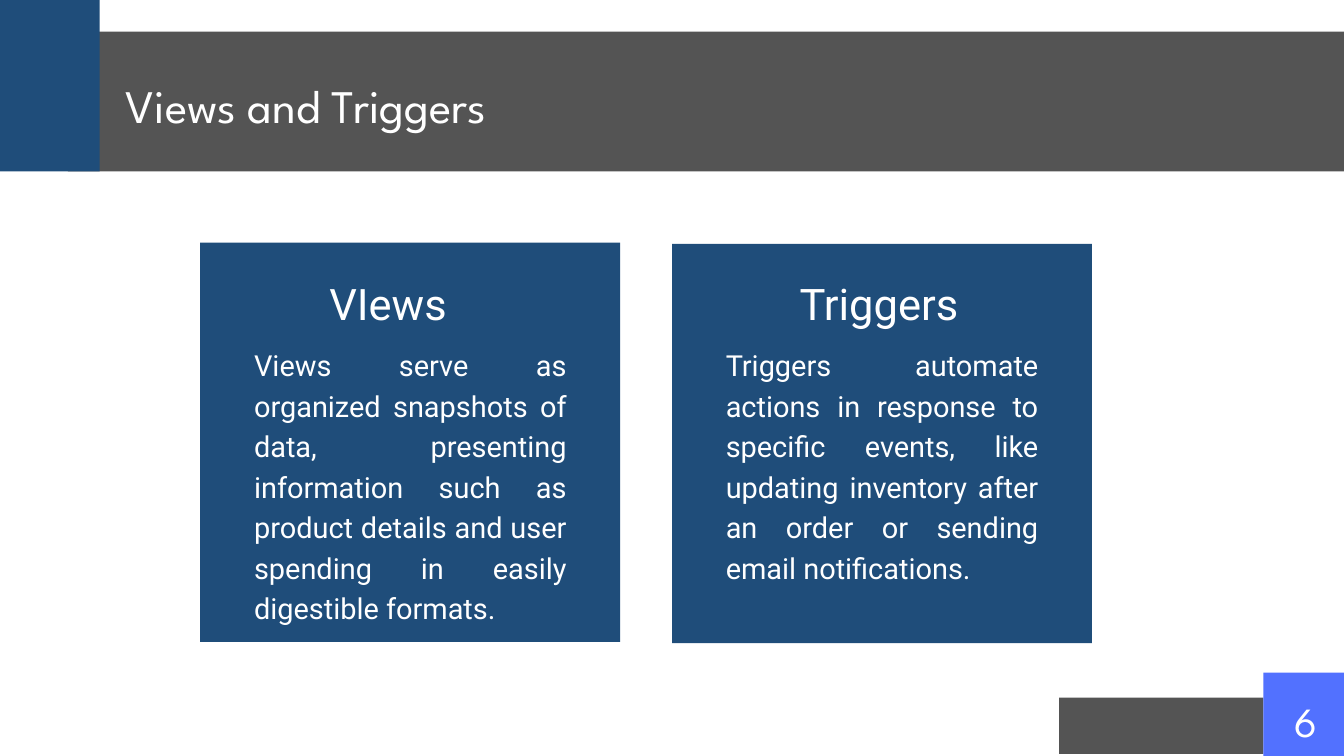
from pptx import Presentation
from pptx.dml.color import RGBColor
from pptx.enum import shapes, text
from pptx.util import Pt

COLORS = {"navy": "1F4D7A", "gray": "545454", "blue": "5271FF", "white": "FFFFFF"}
HEADING_FONT = "League Spartan"
BODY_FONT = "Roboto"
ALIGN = text.PP_ALIGN

# Card left and top, heading left, width and size, heading, body left, body
CARDS = [
    (214.5, 260, 240.5, 362, 46.5, "VIews ", 272.2,
     "Views serve as organized snapshots of data, presenting information such as "
     "product details and user spending in easily digestible formats. "),
    (720, 261.4, 777.6, 328.3, 46.6, "Triggers", 777.6,
     "Triggers automate actions in response to specific events, like updating "
     "inventory after an order or sending email notifications."),
]


def add_block(slide, left, top, width, height, color):
    """Add a plain filled rectangle without outline."""
    shape = slide.shapes.add_shape(
        shapes.MSO_SHAPE.RECTANGLE, Pt(left), Pt(top), Pt(width), Pt(height))
    shape.shadow.inherit = False
    shape.fill.solid()
    shape.fill.fore_color.rgb = RGBColor.from_string(COLORS[color])
    shape.line.fill.background()


def add_label(slide, left, top, width, height, words, font, size, spacing, align):
    """Add white wrapped text with exact line spacing and no insets."""
    box = slide.shapes.add_textbox(Pt(left), Pt(top), Pt(width), Pt(height))
    frame = box.text_frame
    frame.word_wrap = True
    frame.auto_size = text.MSO_AUTO_SIZE.SHAPE_TO_FIT_TEXT
    frame.margin_left = frame.margin_right = 0
    frame.margin_top = frame.margin_bottom = 0
    paragraph = frame.paragraphs[0]
    paragraph.text = words
    paragraph.alignment = align
    paragraph.line_spacing = Pt(spacing)
    paragraph.font.name = font
    paragraph.font.size = Pt(size)
    paragraph.font.color.rgb = RGBColor.from_string(COLORS["white"])


def add_header(slide):
    add_block(slide, 72.7, 34, 1367.3, 149.6, "gray")
    add_block(slide, -53.3, -59.8, 160, 243.4, "navy")
    add_label(slide, 134.6, 72.7, 669.6, 67.7, "Views and Triggers",
              HEADING_FONT, 50, 70, ALIGN.LEFT)


def add_card(slide, left, top, heading_left, heading_width, heading_size,
             heading, body_left, body):
    add_block(slide, left, top, 450, 427.7, "navy")
    add_label(slide, heading_left, 287.6, heading_width, 62.6, heading,
              BODY_FONT, heading_size, 65.2, ALIGN.CENTER)
    add_label(slide, body_left, 366.5, 334.8, 255.6, body,
              BODY_FONT, 31, 43.4, ALIGN.JUSTIFY)


def add_page_number(slide, number):
    add_block(slide, 1134.7, 747.4, 218.9, 60.5, "gray")
    add_block(slide, 1353.6, 720.7, 86.4, 89.3, "blue")
    add_label(slide, 1368, 736.6, 61.9, 59.8, number,
              HEADING_FONT, 44.5, 62.3, ALIGN.CENTER)


def main():
    presentation = Presentation()
    presentation.slide_width = Pt(1440)
    presentation.slide_height = Pt(810)
    slide = presentation.slides.add_slide(presentation.slide_layouts[6])
    add_header(slide)
    for card in CARDS:
        add_card(slide, *card)
    add_page_number(slide, "6")
    presentation.save("out.pptx")


if __name__ == "__main__":
    main()
